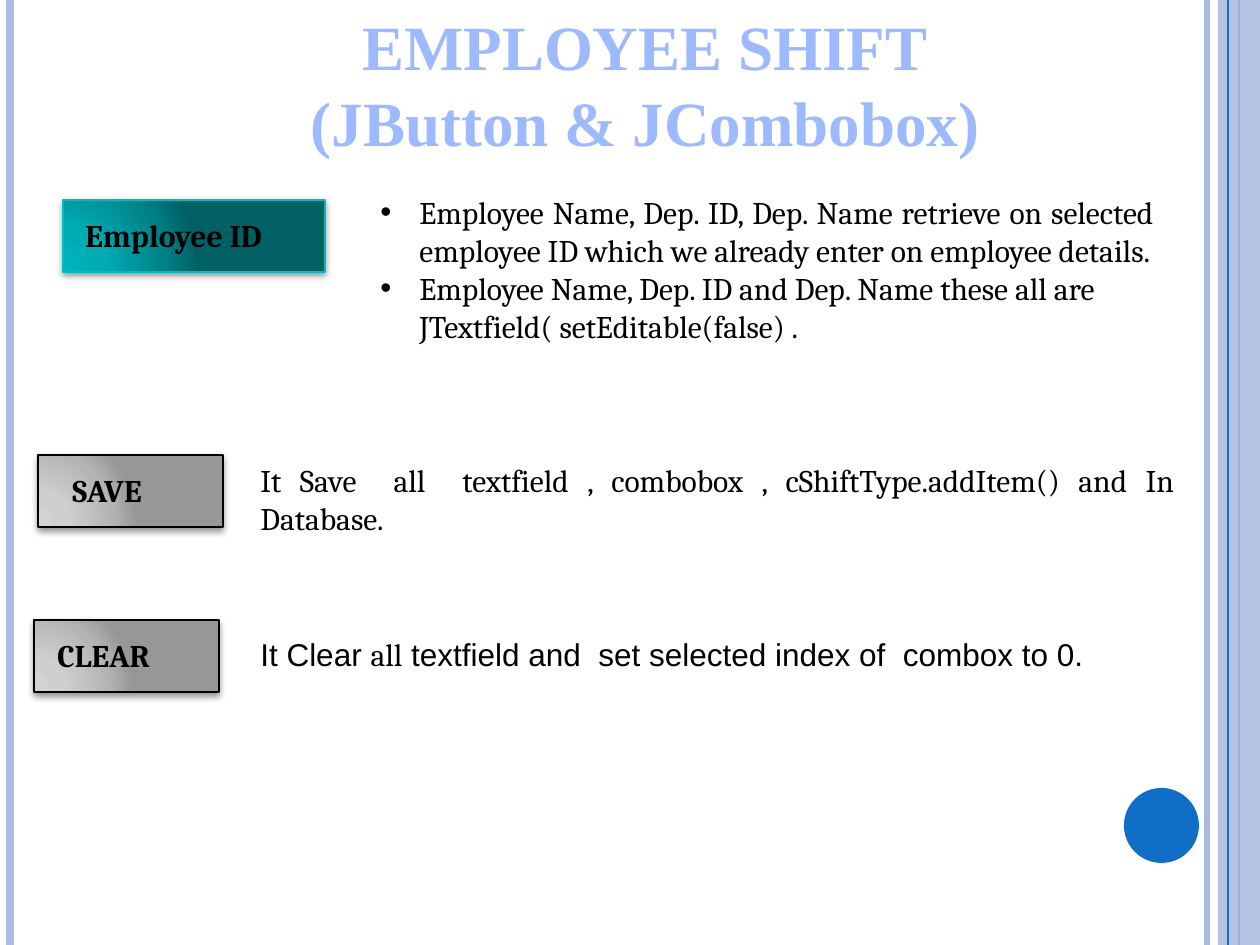
"""Build the Employee Shift slide about its button and combo box controls."""
from lxml.etree import SubElement
from pptx import Presentation
from pptx.dml.color import RGBColor
from pptx.enum.shapes import MSO_CONNECTOR, MSO_SHAPE
from pptx.enum.text import MSO_ANCHOR, MSO_AUTO_SIZE, PP_ALIGN
from pptx.oxml import parse_xml
from pptx.oxml.ns import nsdecls, qn
from pptx.util import Emu, Pt

SCALE = 914400 / 126
WIDTH, HEIGHT = 1260, 945
BLACK = RGBColor(0x00, 0x00, 0x00)
LAVENDER = RGBColor(0xAB, 0xBB, 0xDF)
BLUE = RGBColor(0x0F, 0x6F, 0xC6)
TITLE_BLUE = RGBColor(0x9E, 0xBA, 0xFF)
TEAL_EDGE = RGBColor(0x00, 0xBB, 0xC3)
TEAL = [RGBColor(0x00, 0xB2, 0xBB), RGBColor(0x00, 0xAC, 0xB4),
        RGBColor(0x00, 0x81, 0x87), RGBColor(0x00, 0x60, 0x64)]
GRAY = [RGBColor(0xD3, 0xD3, 0xD3), RGBColor(0xCF, 0xCF, 0xCF),
        RGBColor(0xB4, 0xB4, 0xB4), RGBColor(0x97, 0x97, 0x97)]
STOPS = [0, 30, 75, 100]


def px(n):
    return Emu(round(n * SCALE))


def add_run(p, text, font="Cambria", size=18, bold=False, color=BLACK):
    r = p.add_run()
    r.text = text
    r.font.name = font
    r.font.size = Pt(size)
    r.font.bold = bold
    r.font.color.rgb = color


class SlideBuilder:
    def __init__(self, slide):
        self.s = slide

    def line(self, x, color, width):
        sp = self.s.shapes.add_connector(MSO_CONNECTOR.STRAIGHT, px(x), 0, px(x), px(HEIGHT))
        sp.line.color.rgb = color
        sp.line.width = Pt(width)
        SubElement(sp._element.spPr, qn("a:effectLst"))

    def shape(self, kind, x, y, w, h, color, opacity=100):
        sp = self.s.shapes.add_shape(kind, px(x), px(y), px(w), px(h))
        sp.shadow.inherit = False
        sp.fill.solid()
        sp.fill.fore_color.rgb = color
        sp.line.fill.background()
        if opacity < 100:
            clr = sp._element.spPr.find(qn("a:solidFill"))[0]
            SubElement(clr, qn("a:alpha"), val=str(opacity * 1000))
        return sp

    def button(self, x, y, w, colors, edge, distance):
        sp = self.shape(MSO_SHAPE.RECTANGLE, x, y, w, 72, colors[-1])
        sp.line.color.rgb = edge
        sp.line.width = Pt(1)
        stops = "".join(f'<a:gs pos="{pos * 1000}"><a:srgbClr val="{c}"/></a:gs>'
                        for pos, c in zip(STOPS, colors))
        spPr = sp._element.spPr
        spPr.replace(spPr.find(qn("a:solidFill")), parse_xml(
            f'<a:gradFill {nsdecls("a")} rotWithShape="1"><a:gsLst>{stops}</a:gsLst>'
            '<a:path path="circle"><a:fillToRect l="5000" t="100000" r="120000" b="10000"/>'
            '</a:path></a:gradFill>'))
        spPr.find(qn("a:effectLst")).append(parse_xml(
            f'<a:outerShdw {nsdecls("a")} blurRad="{Pt(4)}" dist="{Pt(distance)}" dir="5400000" '
            'rotWithShape="0"><a:srgbClr val="000000"><a:alpha val="41000"/></a:srgbClr>'
            '</a:outerShdw>'))

    def text(self, x, y, w, h, paragraphs, align=PP_ALIGN.LEFT, bullet=False,
             anchor=MSO_ANCHOR.TOP, **fmt):
        tf = self.s.shapes.add_textbox(px(x), px(y), px(w), px(h)).text_frame
        tf.word_wrap = True
        tf.auto_size = MSO_AUTO_SIZE.SHAPE_TO_FIT_TEXT
        tf.vertical_anchor = anchor
        for i, runs in enumerate(paragraphs):
            p = tf.paragraphs[0] if i == 0 else tf.add_paragraph()
            if bullet:
                pPr = p._p.get_or_add_pPr()
                pPr.set("marL", str(px(39)))
                pPr.set("indent", str(-px(39)))
                SubElement(pPr, qn("a:buFont"), typeface="Arial")
                SubElement(pPr, qn("a:buChar"), char="•")
            p.alignment = align
            for text, font in runs:
                add_run(p, text, font=font, **fmt)
        return tf


def main():
    prs = Presentation()
    prs.slide_width, prs.slide_height = px(WIDTH), px(HEIGHT)
    b = SlideBuilder(prs.slides.add_slide(prs.slide_layouts[6]))

    b.line(1207, LAVENDER, 3)
    b.line(10, LAVENDER, 4.5)
    b.line(1239, BLUE, 1.5)
    b.shape(MSO_SHAPE.RECTANGLE, 1218, 0, 42, HEIGHT, LAVENDER, opacity=87)
    b.line(1228, BLUE, 0.75)
    b.shape(MSO_SHAPE.OVAL, 1124, 788, 75, 75, BLUE)

    b.text(204, 0, 882, 165, [[("EMPLOYEE SHIFT", "Times New Roman")],
                              [("(JButton & JCombobox)", "Times New Roman")]],
           align=PP_ALIGN.CENTER, anchor=MSO_ANCHOR.BOTTOM, size=36, bold=True, color=TITLE_BLUE)

    for label, x, y, w, label_x, colors, edge, distance in [
            ("Employee ID", 63, 200, 262, 73, TEAL, TEAL_EDGE, 1.6),
            ("SAVE", 38, 455, 185, 60, GRAY, BLACK, 2),
            ("CLEAR", 34, 620, 185, 45, GRAY, BLACK, 2)]:
        b.button(x, y, w, colors, edge, distance)
        b.text(label_x, y + 10, w - 20, 50, [[(label, "Cambria")]], bold=True)

    tf = b.text(368, 187, 798, 242, [
        [("Employee Name, Dep. ID, Dep. Name retrieve on selected employee ID "
          "which we already enter on employee details.", "Cambria")],
        [("Employee Name, Dep. ID and Dep. Name these all are "
          "JTextfield( setEditable(false) .", "Cambria")]],
        align=PP_ALIGN.JUSTIFY, bullet=True)
    tf.paragraphs[1].alignment = PP_ALIGN.LEFT
    b.text(248, 455, 939, 89, [
        [("It Save  all  textfield , combobox , cShiftType.addItem() and In Database.",
          "Cambria")]], align=PP_ALIGN.JUSTIFY)
    b.text(248, 629, 917, 50, [
        [("It Clear ", "Arial"), ("all", "Cambria"),
         (" textfield and  set selected index of  combox to 0.", "Arial")]],
        align=PP_ALIGN.JUSTIFY)

    prs.save("out.pptx")


if __name__ == "__main__":
    main()
